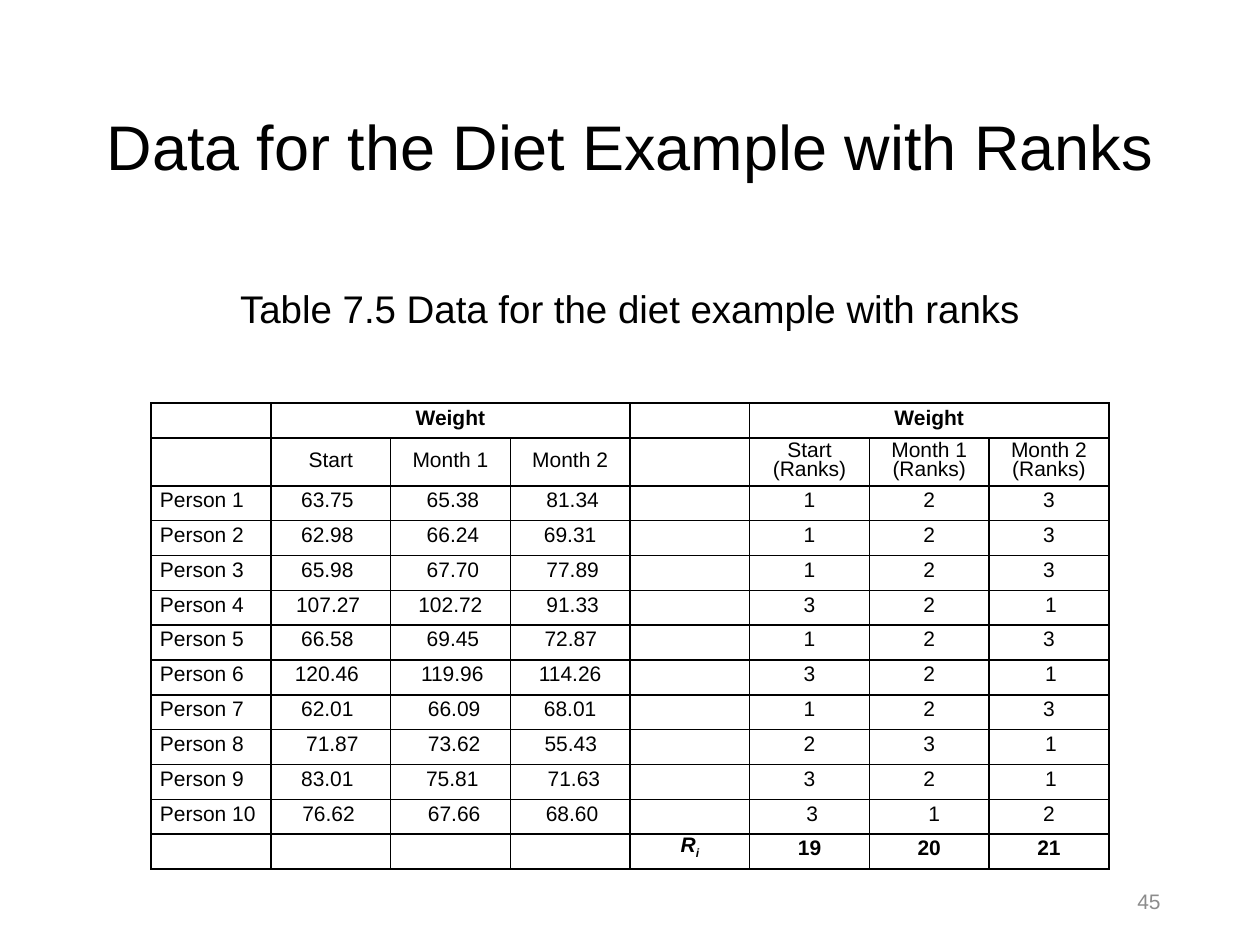
from lxml import etree
from pptx import Presentation
from pptx import util as u
from pptx.dml.color import RGBColor
from pptx.enum import text
from pptx.oxml.ns import qn

TITLE = "Data for the Diet Example with Ranks"
CAPTION = "Table 7.5 Data for the diet example with ranks"
PAGE_NUMBER = "45"
PERIODS = ["Start", "Month 1", "Month 2"]
WEIGHTS = [
    ("63.75", "65.38", "81.34"),
    ("62.98", "66.24", "69.31"),
    ("65.98", "67.70", "77.89"),
    ("107.27", "102.72", "91.33"),
    ("66.58", "69.45", "72.87"),
    ("120.46", "119.96", "114.26"),
    ("62.01", "66.09", "68.01"),
    ("71.87", "73.62", "55.43"),
    ("83.01", "75.81", "71.63"),
    ("76.62", "67.66", "68.60"),
]
WEIGHT_INDENTS = [
    (0.17, 0.04, 0.04),
    (0.17, 0.04, 0),
    (0.17, 0.04, 0.04),
    (0.13, 0, 0.04),
    (0.17, 0.04, 0.01),
    (0.12, 0.03, 0),
    (0.17, 0.06, 0),
    (0.21, 0.06, 0.01),
    (0.17, 0.03, 0.06),
    (0.18, 0.06, 0.03),
]
RANKS = ["123", "123", "123", "321", "123", "321", "123", "231", "321", "312"]
RANK_INDENTS = {(3, 2): 0.03, (5, 2): 0.03, (7, 2): 0.03, (8, 2): 0.03,
                (9, 0): 0.04, (9, 1): 0.08}
RANK_SUMS = ["19", "20", "21"]

TABLE_BOX = (1.2, 3.2, 7.6, 3.7)
COLUMN_COUNT = 8
HEADER_HEIGHT = 0.38
ALIGN = text.PP_ALIGN
MIDDLE = text.MSO_ANCHOR.MIDDLE


def inches(*values):
    return [u.Inches(value) for value in values]


def place(shape, *box):
    shape.left, shape.top, shape.width, shape.height = inches(*box)


def write(paragraph, content, size=12, color="000000", bold=False, italic=False,
          align=ALIGN.CENTER, spacing=None, indent=0, baseline=0):
    paragraph.alignment = align
    if spacing:
        paragraph.line_spacing = spacing
    properties = paragraph._p.get_or_add_pPr()
    properties.set("marL", str(u.Inches(indent)))
    properties.set("indent", "0")
    if not content:
        etree.SubElement(paragraph._p, qn("a:endParaRPr"), sz=str(size * 100))
        return
    for number, line in enumerate(content.split("\n")):
        if number:
            paragraph.add_line_break()
        run = paragraph.add_run()
        run.text = line
        run.font.name = "Arial"
        run.font.size = u.Pt(size)
        run.font.bold = bold
        run.font.italic = italic
        run.font.color.rgb = RGBColor.from_string(color)
        if baseline:
            run._r.get_or_add_rPr().set("baseline", str(baseline * 1000))


def add_borders(cell, color="000000", width=1):
    properties = cell._tc.get_or_add_tcPr()
    for position, side in enumerate(("lnL", "lnR", "lnT", "lnB")):
        line = etree.Element(qn("a:" + side), w=str(u.Pt(width)))
        fill = etree.SubElement(line, qn("a:solidFill"))
        etree.SubElement(fill, qn("a:srgbClr"), val=color)
        properties.insert(position, line)


def add_table(slide):
    row_count = len(WEIGHTS) + 3
    table = slide.shapes.add_table(row_count, COLUMN_COUNT, *inches(*TABLE_BOX)).table
    table.first_row = table.horz_banding = False
    row_height = (TABLE_BOX[3] - HEADER_HEIGHT) / (row_count - 1)
    for column in table.columns:
        column.width = u.Inches(TABLE_BOX[2] / COLUMN_COUNT)
    for number, row in enumerate(table.rows):
        row.height = u.Inches(HEADER_HEIGHT if number == 1 else row_height)

    entries = {}
    for column in (1, 5):
        table.cell(0, column).merge(table.cell(0, column + 2))
        entries[0, column] = ("Weight", {"bold": True})
    for number, period in enumerate(PERIODS):
        entries[1, 1 + number] = (period, {})
        entries[1, 5 + number] = (period + "\n(Ranks)", {})
        entries[row_count - 1, 5 + number] = (RANK_SUMS[number], {"bold": True})
    for person, (weights, indents, ranks) in enumerate(zip(WEIGHTS, WEIGHT_INDENTS, RANKS)):
        row = person + 2
        entries[row, 0] = (f"Person {person + 1}", {"align": ALIGN.LEFT})
        for number in range(3):
            align = ALIGN.CENTER if number else ALIGN.LEFT
            entries[row, 1 + number] = (weights[number], {"align": align, "indent": indents[number]})
            entries[row, 5 + number] = (ranks[number], {"indent": RANK_INDENTS.get((person, number), 0)})
    entries[row_count - 1, 4] = ("R", {"bold": True, "italic": True})

    for row in range(row_count):
        for column in range(COLUMN_COUNT):
            cell = table.cell(row, column)
            cell.fill.background()
            add_borders(cell)
            cell.vertical_anchor = MIDDLE
            cell.margin_left = cell.margin_right = u.Inches(0.07)
            cell.margin_top = cell.margin_bottom = 0
            content, style = entries.get((row, column), ("", {}))
            write(cell.text_frame.paragraphs[0], content,
                  spacing=u.Pt(11 if row < 2 else 10), **style)
    write(table.cell(row_count - 1, 4).text_frame.paragraphs[0], "i",
          bold=True, italic=True, baseline=-25)


def main():
    presentation = Presentation()
    presentation.slide_width, presentation.slide_height = inches(10, 7.5)
    slide = presentation.slides.add_slide(presentation.slide_layouts[1])

    title = slide.shapes.title
    place(title, 0.69, 0.47, 8.62, 1.45)
    title.text_frame.vertical_anchor = MIDDLE
    write(title.text_frame.paragraphs[0], TITLE, size=36, spacing=0.9)

    caption = slide.placeholders[1]
    place(caption, 0.69, 2.21, 8.62, 0.52)
    paragraph = caption.text_frame.paragraphs[0]
    paragraph.space_before = u.Pt(0)
    etree.SubElement(paragraph._p.get_or_add_pPr(), qn("a:buNone"))
    write(paragraph, CAPTION, size=22)

    add_table(slide)

    page_number = slide.shapes.add_textbox(*inches(7.06, 6.95, 2.25, 0.4))
    page_number.text_frame.word_wrap = True
    page_number.text_frame.vertical_anchor = MIDDLE
    write(page_number.text_frame.paragraphs[0], PAGE_NUMBER, color="8C8C8C", align=ALIGN.RIGHT)

    presentation.save("out.pptx")


if __name__ == "__main__":
    main()
